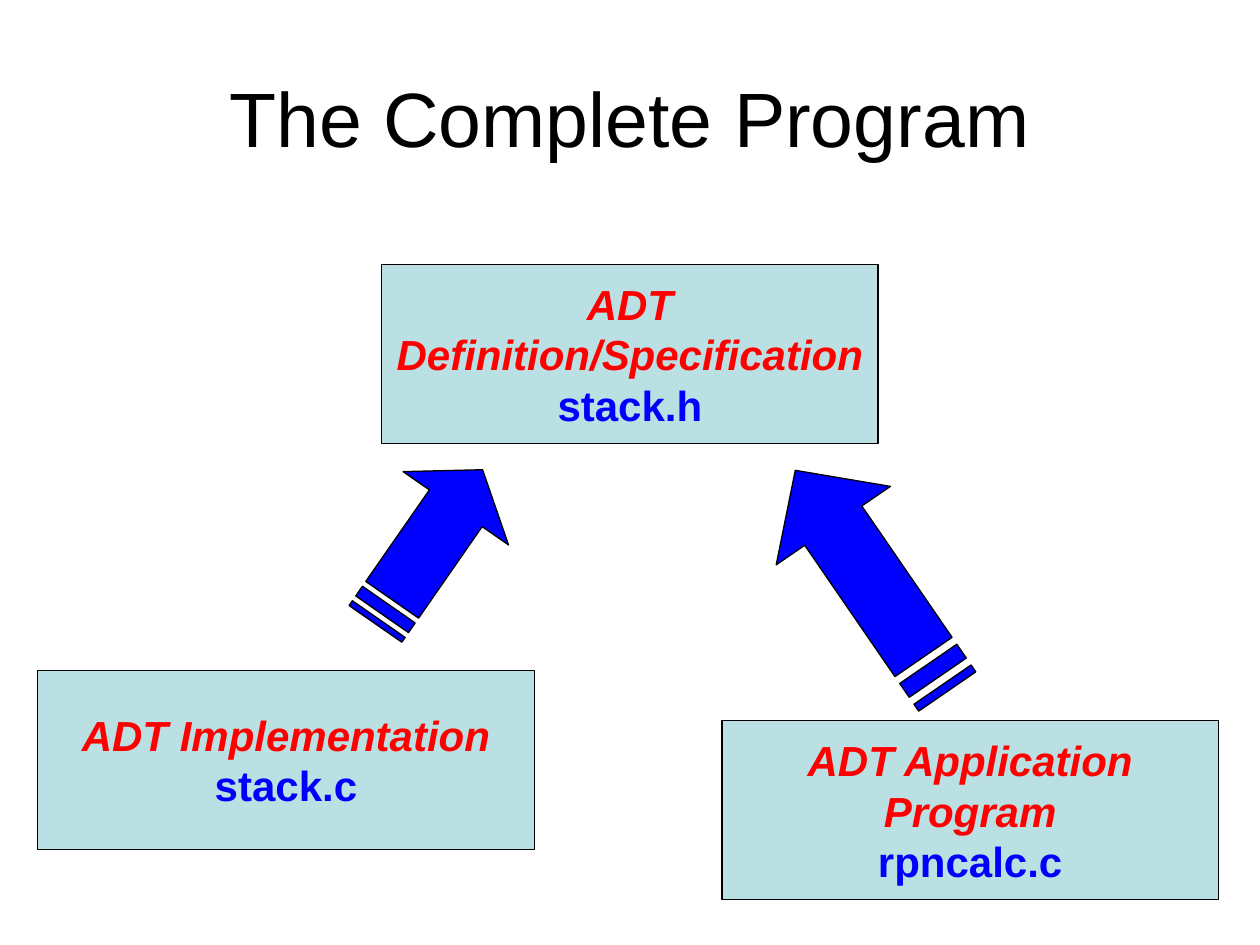
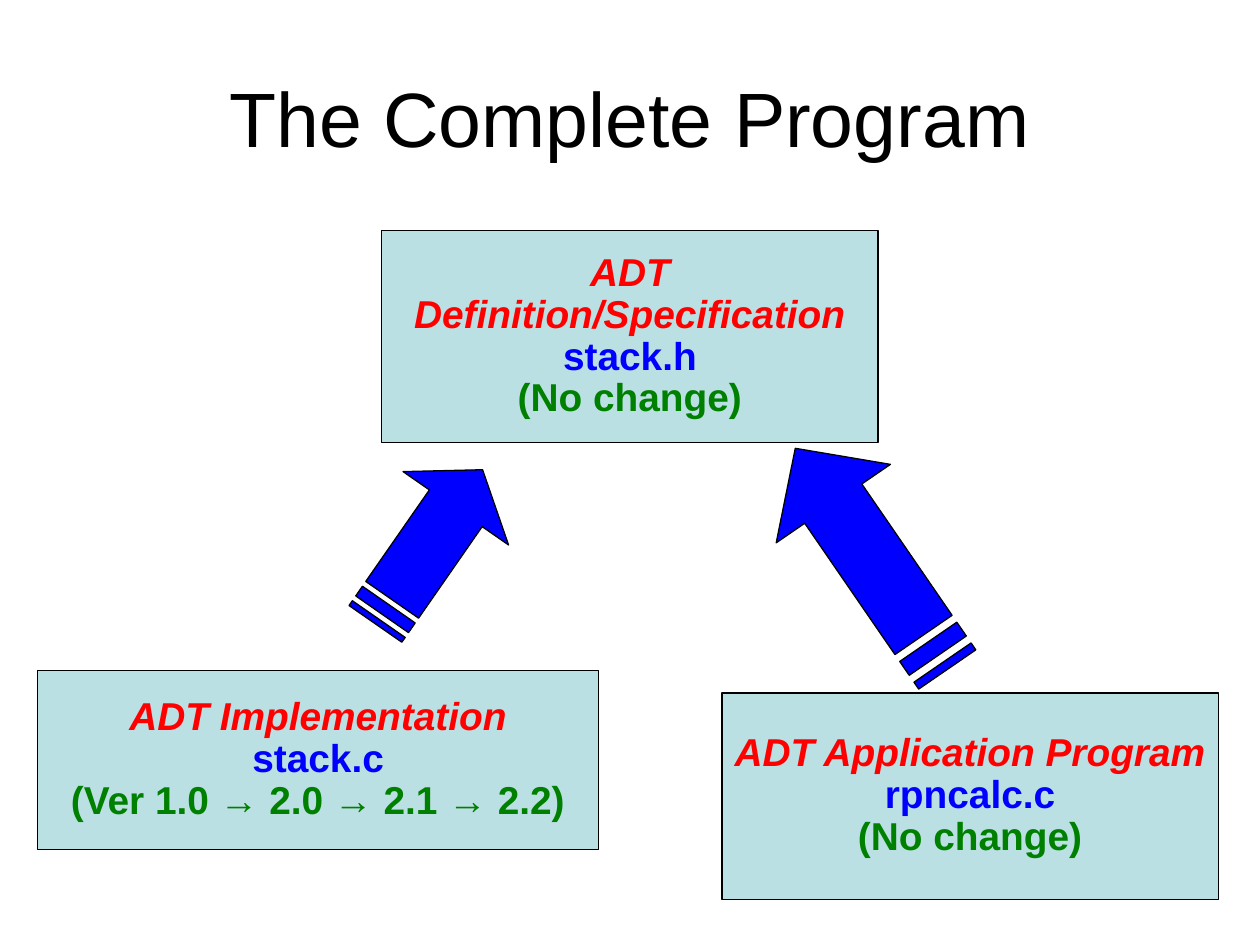
from pptx import Presentation
from pptx import util as u
from pptx.dml.color import RGBColor
from pptx.enum import shapes, text

COLUMNS = 100
SLIDE_WIDTH, SLIDE_HEIGHT = u.Inches(10), u.Inches(7.5)
CELL = SLIDE_WIDTH / COLUMNS

BLACK = RGBColor(0x00, 0x00, 0x00)
WHITE = RGBColor(0xFF, 0xFF, 0xFF)
RED = RGBColor(0xFF, 0x00, 0x00)
BLUE = RGBColor(0x00, 0x00, 0xFF)
GREEN = RGBColor(0x00, 0x80, 0x00)
PALE_TEAL = RGBColor(0xBB, 0xE0, 0xE3)

TITLE = "The Complete Program"
TITLE_AREA = (5, 3, 90, 12.5)
TITLE_FONT = {"size": u.Pt(44), "bold": False, "italic": False}
LINE_STYLES = [
    (RED, {"bold": True, "italic": True}),
    (BLUE, {"bold": True, "italic": False}),
    (GREEN, {"bold": True, "italic": False}),
]
FRAME = {
    "word_wrap": True,
    "vertical_anchor": text.MSO_ANCHOR.MIDDLE,
    "margin_left": u.Inches(0.1),
    "margin_right": u.Inches(0.1),
    "margin_top": u.Inches(0.05),
    "margin_bottom": u.Inches(0.05),
}

STRIPES = [(0, 1 / 32), (2 / 32, 4 / 32)]
SHAFT_START, HEAD_START = 5 / 32, 3 / 4
SHAFT_TOP, SHAFT_BOTTOM = 1 / 4, 3 / 4
IMPLEMENTATION_ARROW = ((26.6, 38.3, 14.9, 10.2), 304.8)
APPLICATION_ANGLE = 235.5

PROGRAMS = [
    {
        "application_arrow": (58.5, 40.6, 21.3, 11),
        "size": u.Pt(24),
        "spacing": 1.0,
        "modules": [
            ((30.3, 21, 39.4, 14.2), ["ADT Definition/Specification", "stack.h"]),
            ((57.3, 57.2, 39.4, 14.2), ["ADT Application Program", "rpncalc.c"]),
            ((3, 53.2, 39.4, 14.2), ["ADT Implementation", "stack.c"]),
        ],
    },
    {
        "application_arrow": (58.5, 38.85, 21.3, 11),
        "size": u.Pt(22.2),
        "spacing": 0.9,
        "modules": [
            ((30.3, 18.3, 39.4, 16.8),
             ["ADT Definition/Specification", "stack.h", "(No change)"]),
            ((57.3, 55, 39.4, 16.4),
             ["ADT Application Program", "rpncalc.c", "(No change)"]),
            ((3, 53.2, 44.5, 14.2),
             ["ADT Implementation", "stack.c", "(Ver 1.0 → 2.0 → 2.1 → 2.2)"]),
        ],
    },
]


def on_grid(area):
    return [u.Emu(round(cells * CELL)) for cells in area]


def apply(target, values):
    for name, value in values.items():
        setattr(target, name, value)


def write_line(paragraph, words, color, font_values):
    paragraph.text = words
    paragraph.alignment = text.PP_ALIGN.CENTER
    apply(paragraph.font, {"name": "Arial", **font_values})
    paragraph.font.color.rgb = color


def paint(shape, color):
    shape.shadow.inherit = False
    shape.fill.solid()
    shape.fill.fore_color.rgb = color
    shape.line.color.rgb = BLACK
    shape.line.width = u.Pt(0.75)


def add_title(slide):
    title = slide.shapes.title
    apply(title, dict(zip(("left", "top", "width", "height"), on_grid(TITLE_AREA))))
    apply(title.text_frame, FRAME)
    write_line(title.text_frame.paragraphs[0], TITLE, BLACK, TITLE_FONT)


def add_striped_arrow(slide, area, angle):
    left, top, length, breadth = on_grid(area)
    outlines = [
        [(start, SHAFT_TOP), (end, SHAFT_TOP), (end, SHAFT_BOTTOM), (start, SHAFT_BOTTOM)]
        for start, end in STRIPES
    ]
    outlines.append([
        (SHAFT_START, SHAFT_TOP), (HEAD_START, SHAFT_TOP), (HEAD_START, 0),
        (1, 1 / 2),
        (HEAD_START, 1), (HEAD_START, SHAFT_BOTTOM), (SHAFT_START, SHAFT_BOTTOM),
    ])
    scaled = [[(round(x * length), round(y * breadth)) for x, y in outline]
              for outline in outlines]
    builder = slide.shapes.build_freeform(*scaled[0][0])
    for index, (first, *others) in enumerate(scaled):
        if index:
            builder.move_to(*first)
        builder.add_line_segments(others, close=True)
    arrow = builder.convert_to_shape(left, top)
    paint(arrow, BLUE)
    arrow.rotation = angle


def add_module(slide, area, lines, size, spacing):
    box = slide.shapes.add_shape(shapes.MSO_SHAPE.RECTANGLE, *on_grid(area))
    paint(box, PALE_TEAL)
    frame = box.text_frame
    apply(frame, FRAME)
    for index, (words, (color, style)) in enumerate(zip(lines, LINE_STYLES)):
        paragraph = frame.add_paragraph() if index else frame.paragraphs[0]
        write_line(paragraph, words, color, {"size": size, **style})
        paragraph.line_spacing = spacing


def add_program(presentation, program):
    slide = presentation.slides.add_slide(presentation.slide_layouts[5])
    slide.background.fill.solid()
    slide.background.fill.fore_color.rgb = WHITE
    add_title(slide)
    add_striped_arrow(slide, *IMPLEMENTATION_ARROW)
    add_striped_arrow(slide, program["application_arrow"], APPLICATION_ANGLE)
    for area, lines in program["modules"]:
        add_module(slide, area, lines, program["size"], program["spacing"])


def main():
    presentation = Presentation()
    apply(presentation, {"slide_width": SLIDE_WIDTH, "slide_height": SLIDE_HEIGHT})
    for program in PROGRAMS:
        add_program(presentation, program)
    presentation.save("out.pptx")


if __name__ == "__main__":
    main()
